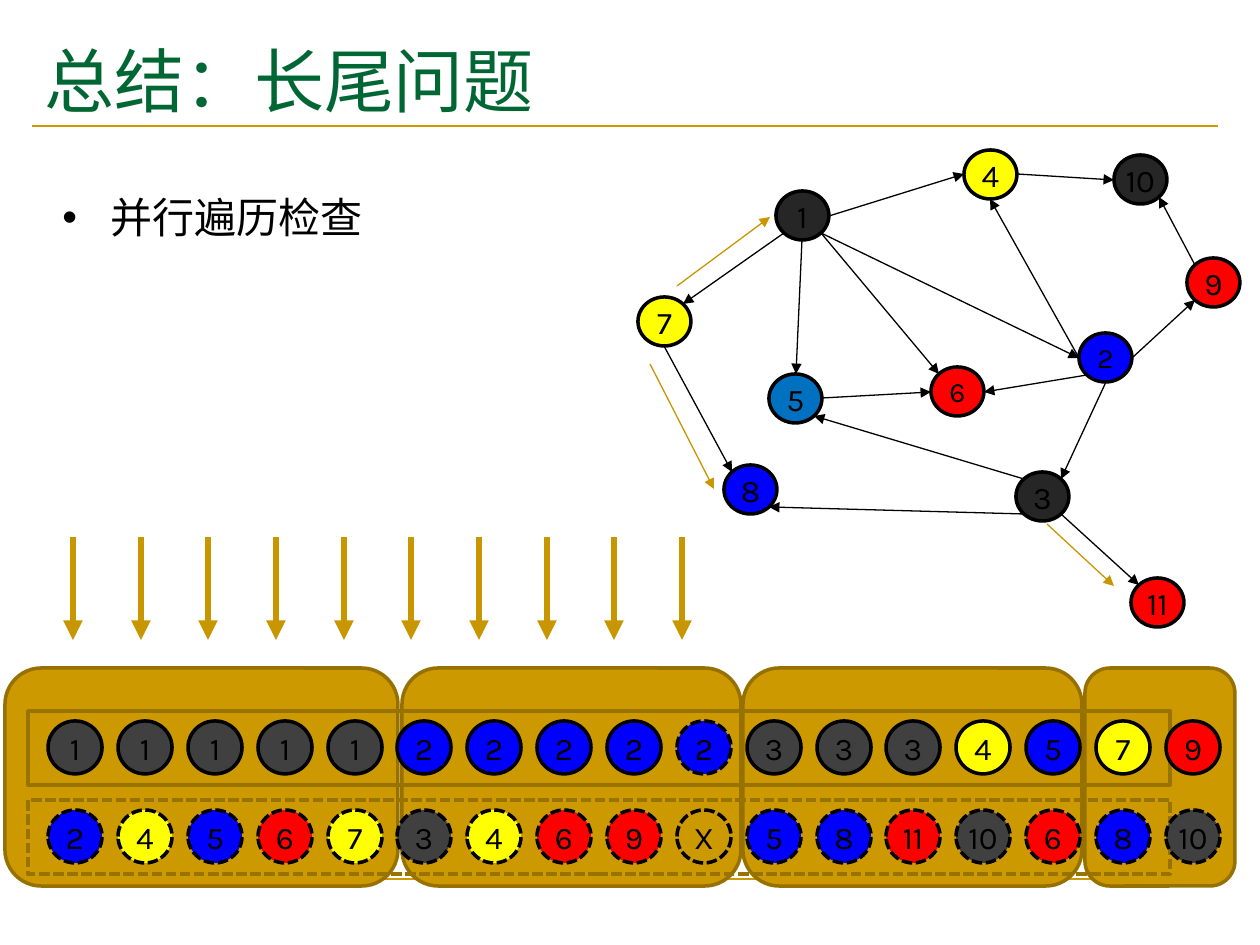
from dataclasses import dataclass

from lxml import etree
from pptx import Presentation
from pptx.dml.color import RGBColor
from pptx.enum.dml import MSO_LINE
from pptx.enum.shapes import MSO_CONNECTOR, MSO_SHAPE
from pptx.enum.text import MSO_ANCHOR, PP_ALIGN
from pptx.oxml.ns import qn
from pptx.util import Pt

PX = 914400 / 126
STRAIGHT = MSO_CONNECTOR.STRAIGHT
OVAL = MSO_SHAPE.OVAL
RECT = MSO_SHAPE.RECTANGLE
ROUND_RECT = MSO_SHAPE.ROUNDED_RECTANGLE
DASH = MSO_LINE.SQUARE_DOT
MIDDLE = MSO_ANCHOR.MIDDLE
CENTER = PP_ALIGN.CENTER
NUMBER_FONT = "Karla"
TEXT_FONT = "DejaVu Sans"

COLORS = {
    "black": "000000", "title": "006633", "gold": "CC9900", "arrow": "C89600",
    "panel_edge": "977100", "frame": "997300", "grey": "404040", "dark": "262626",
    "blue": "0000FF", "teal": "0070C0", "yellow": "FFFF00", "red": "FF0000",
}
LABEL_COLORS = {
    "1": "grey", "3": "grey", "10": "grey", "2": "blue", "5": "blue", "8": "blue",
    "4": "yellow", "7": "yellow", "6": "red", "9": "red", "11": "red", "X": None,
}
SOURCES = "1 1 1 1 1 2 2 2 2 2 3 3 3 4 5 7 9".split()
TARGETS = "2 4 5 6 7 3 4 6 9 X 5 8 11 10 6 8 10".split()
EXTRA_SOURCE = 9  # the added edge, dashed like the targets

NODE_W, NODE_H = 53, 49
SITES = {
    "T": (0, -0.5), "B": (0, 0.5), "L": (-0.5, 0), "R": (0.5, 0),
    "TL": (-0.354, -0.354), "TR": (0.354, -0.354),
    "BL": (-0.354, 0.354), "BR": (0.354, 0.354),
}


@dataclass
class Node:
    label: str
    x: int
    y: int
    color: str
    size: int = 18

    def site(self, name: str) -> tuple[int, int]:
        """Point on the rim, named by its compass side."""
        dx, dy = SITES[name]
        return (round(self.x + NODE_W * (0.5 + dx)),
                round(self.y + NODE_H * (0.5 + dy)))


@dataclass
class Edge:
    source: str
    source_site: str
    target: str
    target_site: str


NODES = [
    Node("7", 638, 297, "yellow"), Node("8", 724, 465, "blue"),
    Node("11", 1131, 578, "red"), Node("3", 1016, 472, "dark"),
    Node("4", 964, 150, "yellow"), Node("1", 776, 191, "dark"),
    Node("5", 769, 374, "teal"), Node("6", 931, 367, "red", 16),
    Node("2", 1079, 333, "blue", 16), Node("9", 1187, 258, "red"),
    Node("10", 1114, 155, "dark"),
]
EDGES = [
    Edge("1", "BL", "7", "TR"), Edge("1", "R", "4", "L"),
    Edge("1", "B", "5", "T"), Edge("1", "BR", "6", "TL"),
    Edge("1", "BR", "2", "L"), Edge("2", "L", "4", "B"),
    Edge("2", "R", "9", "BL"), Edge("2", "BL", "6", "R"),
    Edge("2", "B", "3", "TR"), Edge("3", "TL", "5", "BR"),
    Edge("3", "BL", "8", "BR"), Edge("3", "BR", "11", "TL"),
    Edge("4", "R", "10", "L"), Edge("5", "R", "6", "L"),
    Edge("7", "B", "8", "TL"), Edge("9", "TL", "10", "BR"),
]
PANELS = [(1085, 150), (743, 339), (402, 339), (5, 393)]
TRAVERSALS = [((650, 364), (714, 489)), ((677, 286), (770, 217)),
              ((1047, 524), (1114, 586))]


def emu(px: float) -> int:
    return round(px * PX)


def rgb(name: str) -> RGBColor:
    return RGBColor.from_string(COLORS[name])


def add_line(shapes, start: tuple, end: tuple, color: str, width: float,
             arrow: bool = True) -> None:
    line = shapes.add_connector(STRAIGHT, *(emu(v) for v in (*start, *end)))
    line.line.color.rgb = rgb(color)
    line.line.width = Pt(width)
    if arrow:
        ln = line.line._get_or_add_ln()
        etree.SubElement(ln, qn("a:tailEnd"), type="triangle")
    etree.SubElement(line._element.spPr, qn("a:effectLst"))


def add_box(shapes, kind, box: tuple, fill: str | None, edge: str, dashed: bool = False):
    sp = shapes.add_shape(kind, *(emu(v) for v in box))
    sp.shadow.inherit = False
    if fill:
        sp.fill.solid()
        sp.fill.fore_color.rgb = rgb(fill)
    else:
        sp.fill.background()
    sp.line.color.rgb = rgb(edge)
    sp.line.width = Pt(2)
    if dashed:
        sp.line.dash_style = DASH
    return sp


def format_run(p, font: str, size: int, color: str) -> None:
    r = p.runs[0]
    r.font.name = font
    r.font.size = Pt(size)
    r.font.color.rgb = rgb(color)
    etree.SubElement(r._r.get_or_add_rPr(), qn("a:ea"), typeface=font)


def add_circle(shapes, box: tuple, label: str, fill: str | None, size: int = 18,
               dashed: bool = False) -> None:
    tf = add_box(shapes, OVAL, box, fill, "black", dashed).text_frame
    tf.margin_left = tf.margin_right = tf.margin_top = tf.margin_bottom = 0
    tf.vertical_anchor = MIDDLE
    tf.word_wrap = False
    tf.text = label
    p = tf.paragraphs[0]
    p.alignment = CENTER
    format_run(p, NUMBER_FONT, size, "black")


def add_text(shapes, box: tuple, text: str, size: int, color: str):
    tf = shapes.add_textbox(*(emu(v) for v in box)).text_frame
    tf.word_wrap = True
    tf.text = text
    format_run(tf.paragraphs[0], TEXT_FONT, size, color)
    return tf


def add_edge_table(shapes) -> None:
    for x, width in PANELS:
        add_box(shapes, ROUND_RECT, (x, 668, width, 218), "gold", "panel_edge")
    for y, labels, dashed in ((711, SOURCES, False), (800, TARGETS, True)):
        add_box(shapes, RECT, (28, y, 1142, 74), None, "frame", dashed)
        for i, label in enumerate(labels):
            x = round(48 + i * 1118 / 16)
            add_circle(shapes, (x, y + 10, 54, 53), label, LABEL_COLORS[label],
                       dashed=dashed or i == EXTRA_SOURCE)


def add_graph(shapes) -> None:
    by_label = {node.label: node for node in NODES}
    for node in NODES:
        add_circle(shapes, (node.x, node.y, NODE_W, NODE_H), node.label,
                   node.color, node.size)
    for edge in EDGES:
        add_line(shapes, by_label[edge.source].site(edge.source_site),
                 by_label[edge.target].site(edge.target_site), "black", 0.75)


def main() -> None:
    prs = Presentation()
    prs.slide_width, prs.slide_height = emu(1260), emu(945)
    shapes = prs.slides.add_slide(prs.slide_layouts[6]).shapes

    for y in (879, 126):
        add_line(shapes, (32, y), (1218, y), "gold", 1.5, arrow=False)
    title = add_text(shapes, (32, 35, 1187, 90), "总结：长尾问题", 40, "title")
    title.vertical_anchor = MIDDLE

    add_edge_table(shapes)
    for i in range(10):
        x = round(73 + i * 609 / 9)
        add_line(shapes, (x, 537), (x, 640), "arrow", 3.75)

    p = add_text(shapes, (50, 160, 538, 79), "并行遍历检查", 24, "black").paragraphs[0]
    p.line_spacing = 1.5
    pPr = p._p.get_or_add_pPr()
    pPr.set("marL", str(emu(48)))
    pPr.set("indent", str(-emu(48)))
    etree.SubElement(pPr, qn("a:buFont"), typeface="Arial")
    etree.SubElement(pPr, qn("a:buChar"), char="•")

    for start, end in TRAVERSALS:
        add_line(shapes, start, end, "arrow", 0.75)
    add_graph(shapes)
    prs.save("out.pptx")


if __name__ == "__main__":
    main()
